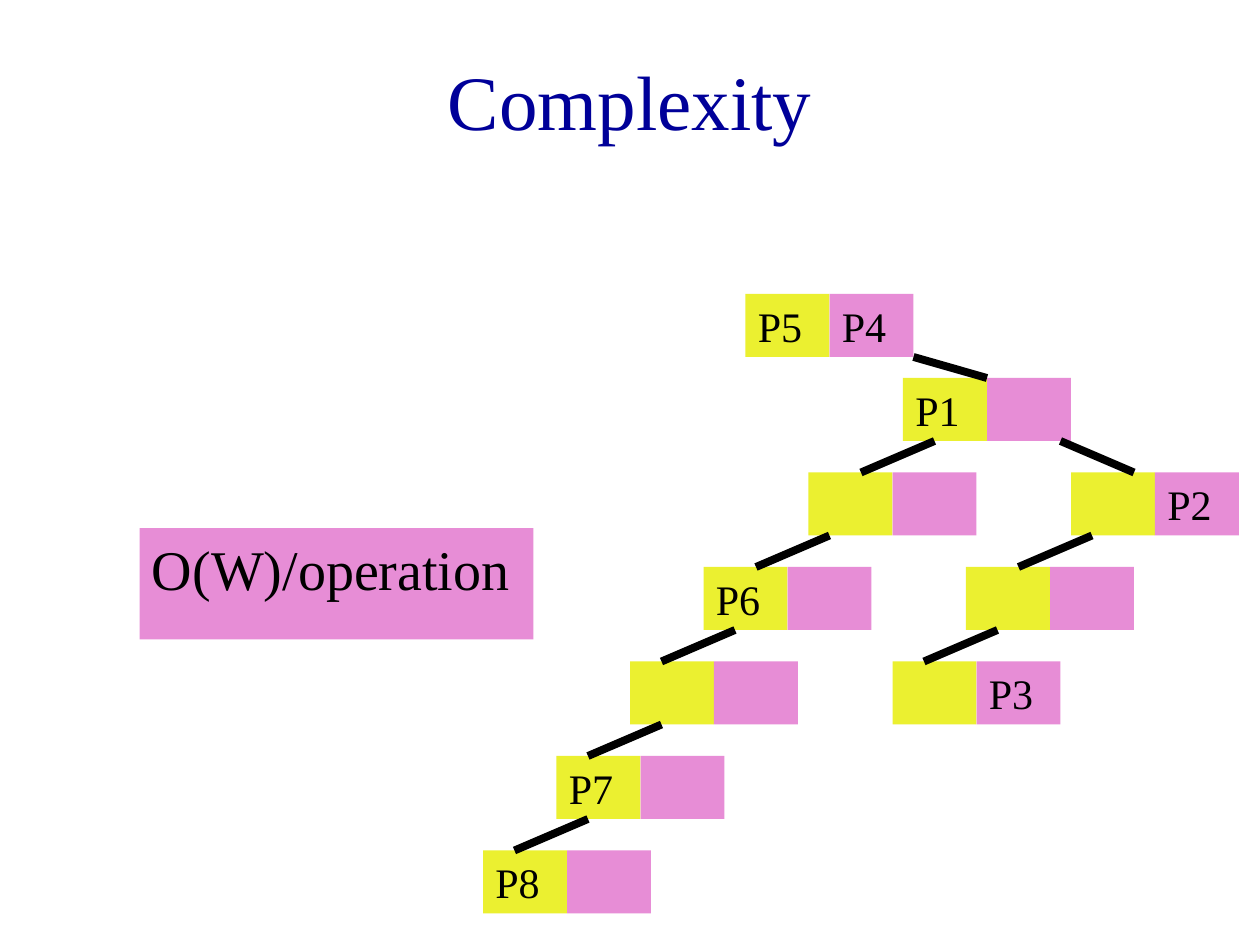
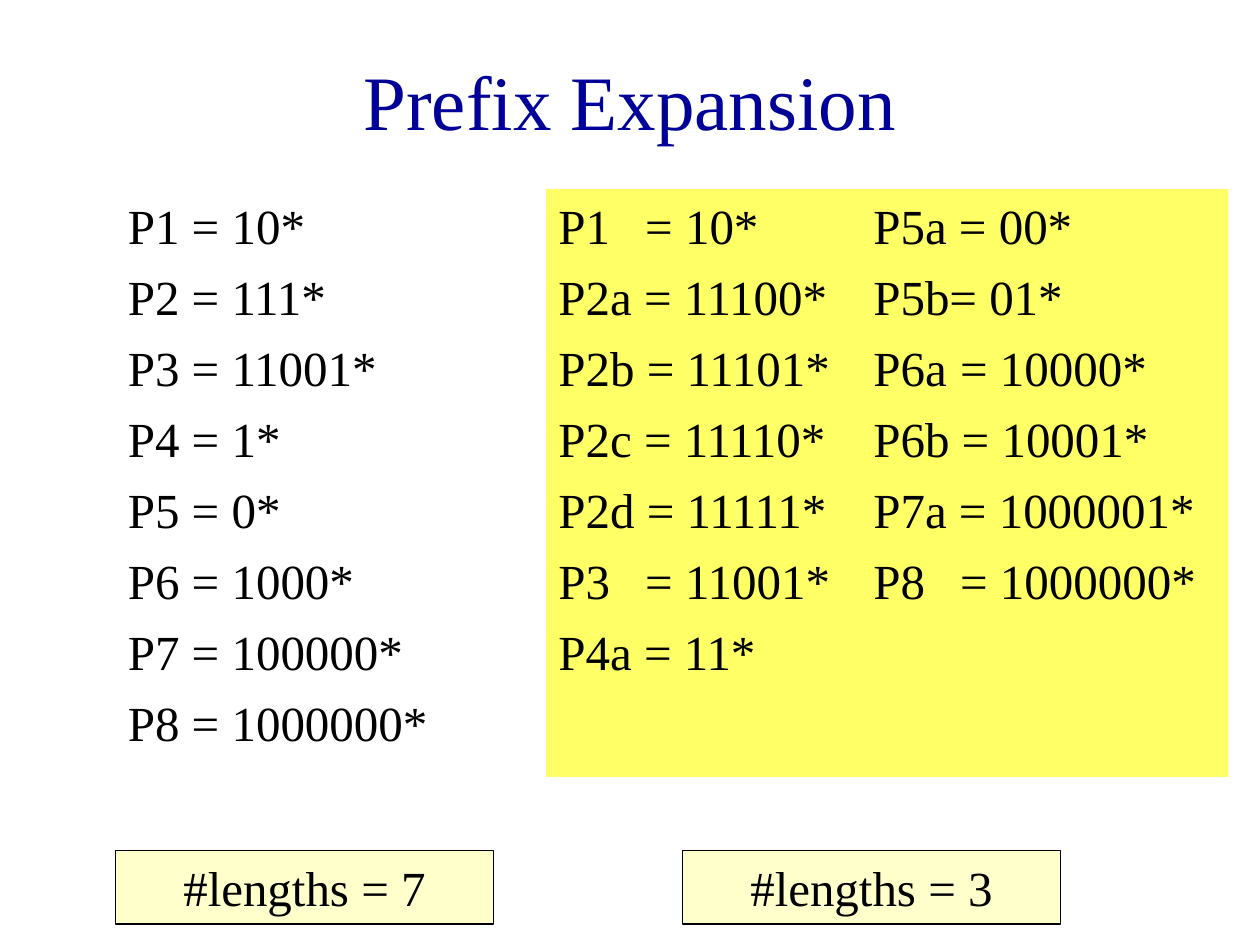
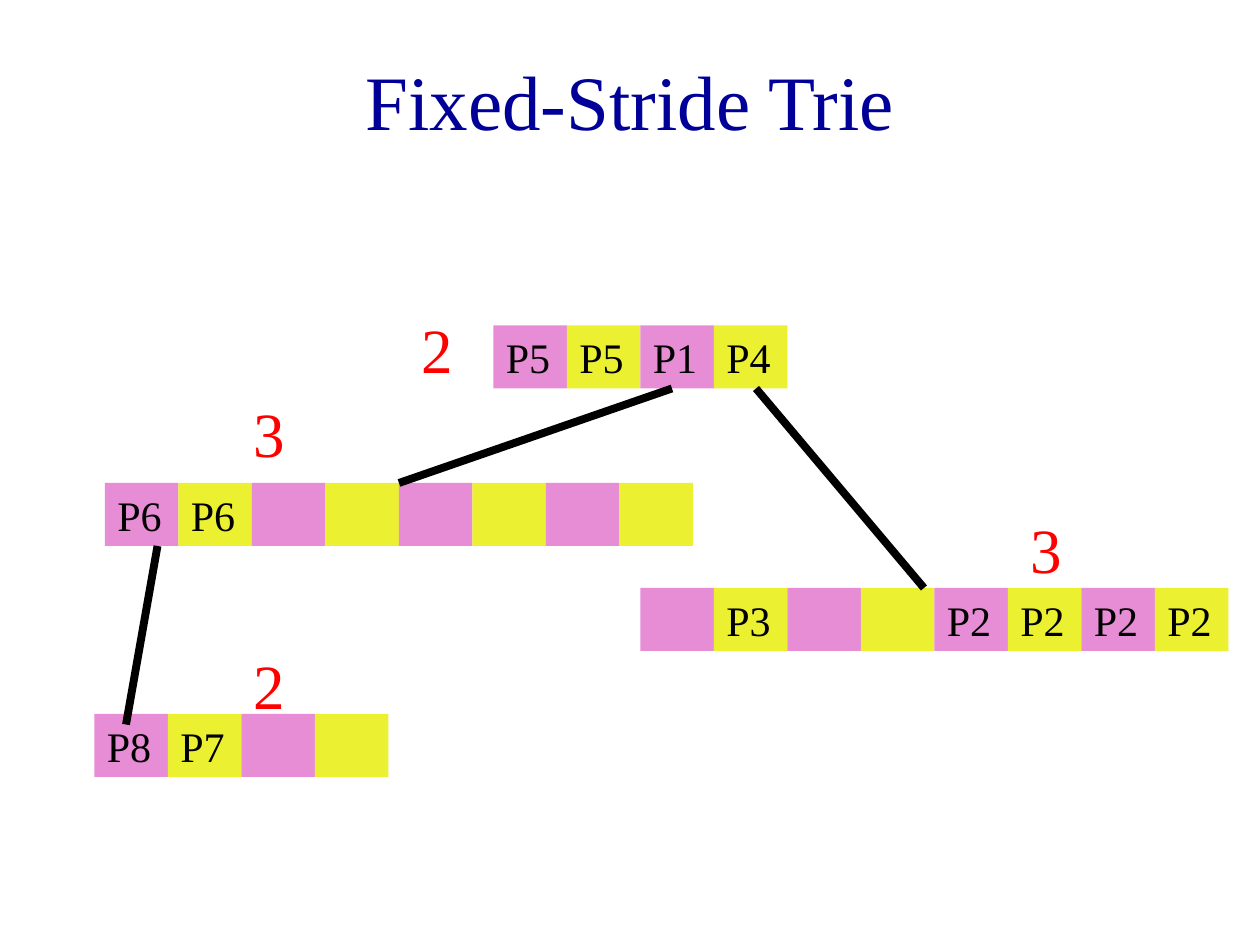
"""Build three slides on prefix tries: complexity, prefix expansion and a fixed-stride trie."""
from dataclasses import dataclass

from lxml.etree import SubElement
from pptx import Presentation
from pptx.dml.color import RGBColor as RGB
from pptx.enum.shapes import MSO_CONNECTOR as LINK, MSO_SHAPE as SHAPE
from pptx.enum.text import MSO_ANCHOR as ANCHOR, PP_ALIGN as ALIGN
from pptx.oxml.ns import qn
from pptx.util import Cm, Pt


@dataclass(frozen=True)
class Theme:
    face: str = "Times New Roman"
    ink: str = "000000"
    navy: str = "000099"
    red: str = "FF0000"
    pink: str = "E78DD6"
    lime: str = "EBF030"
    lemon: str = "FFFF66"
    cream: str = "FFFFCC"
    title: int = 44
    mark: int = 36
    claim: int = 32
    body: int = 28
    cell: int = 24
    edge: float = 4.5
    rim: float = 0.75


T = Theme()
UNIT = 2.54 / 12


def box(slide, area, text, size, fill=None, color=T.ink, gap=0, mid=False, rim=False):
    area = [Cm(n * UNIT) for n in area]
    if fill:
        shape = slide.shapes.add_shape(SHAPE.RECTANGLE, *area)
        shape.shadow.inherit = False
        shape.fill.solid()
        shape.fill.fore_color.rgb = RGB.from_string(fill)
        if rim:
            shape.line.color.rgb = RGB.from_string(T.ink)
            shape.line.width = Pt(T.rim)
        else:
            shape.line.fill.background()
    else:
        shape = slide.shapes.add_textbox(*area)
    if not text:
        return
    frame = shape.text_frame
    frame.word_wrap = True
    frame.vertical_anchor = ANCHOR.MIDDLE if mid else ANCHOR.TOP
    frame.text = text
    for para in frame.paragraphs:
        para.alignment = ALIGN.CENTER if mid else ALIGN.LEFT
        para.space_before = Pt(gap)
        if "\t" in para.text:
            tabs = SubElement(para._p.get_or_add_pPr(), qn("a:tabLst"))
            SubElement(tabs, qn("a:tab"), pos=str(Cm(1.75)), algn="l")
        font = para.font
        font.name, font.size = T.face, Pt(size)
        font.color.rgb = RGB.from_string(color)


def edge(slide, *ends):
    line = slide.shapes.add_connector(LINK.STRAIGHT, *[Cm(n * UNIT) for n in ends])
    line.line.color.rgb = RGB.from_string(T.ink)
    line.line.width = Pt(T.edge)
    SubElement(line._element.spPr, qn("a:effectLst"))


deck = Presentation()
deck.slide_width, deck.slide_height = Cm(25.4), Cm(19.05)
pages = []
for title in ("Complexity", "Prefix Expansion", "Fixed-Stride Trie"):
    page = deck.slides.add_slide(deck.slide_layouts[6])
    box(page, (9, 2, 102, 15), title, T.title, color=T.navy, mid=True)
    pages.append(page)
cost, growth, trie = pages

box(cost, (13.3, 50.3, 37.5, 10.6), "O(W)/operation", T.claim, T.pink, gap=8)
nodes = [
    (71, 28, "P5", "P4"), (86, 36, "P1", ""), (102, 45, "", "P2"),
    (77, 45, "", ""), (92, 54, "", ""), (67, 54, "P6", ""),
    (85, 63, "", "P3"), (60, 63, "", ""), (53, 72, "P7", ""), (46, 81, "P8", ""),
]
for x, y, left, right in nodes:
    box(cost, (x, y, 8, 6), left, T.cell, T.lime, gap=15)
    box(cost, (x + 8, y, 8, 6), right, T.cell, T.pink, gap=15)
edge(cost, 87, 34, 94, 36)
edge(cost, 101, 42, 108, 45)
for x, y in ((89, 42), (79, 51), (70, 60), (63, 69), (56, 78), (104, 51), (95, 60)):
    edge(cost, x, y, x - 7, y + 3)

lists = [
    (11, 38.4, None, ["P1 = 10*", "P2 = 111*", "P3 = 11001*", "P4 = 1*", "P5 = 0*",
                      "P6 = 1000*", "P7 = 100000*", "P8 = 1000000*"]),
    (52, 32, T.lemon, ["P1\t= 10*", "P2a = 11100*", "P2b = 11101*", "P2c = 11110*",
                       "P2d = 11111*", "P3\t= 11001*", "P4a = 11*"]),
    (82, 35, T.lemon, ["P5a = 00*", "P5b= 01*", "P6a\t= 10000*", "P6b = 10001*",
                       "P7a = 1000001*", "P8\t= 1000000*"]),
]
for x, width, fill, rows in lists:
    box(growth, (x, 18, width, 56), "\n".join(rows), T.body, fill, gap=7)
for x, count in ((11, 7), (65, 3)):
    box(growth, (x, 81, 36, 7), f"#lengths = {count}", T.body, T.cream, mid=True, rim=True)

tables = [
    (47, 31, ["P5", "P5", "P1", "P4"]),
    (10, 46, ["P6", "P6"] + [""] * 6),
    (61, 56, ["", "P3", "", ""] + ["P2"] * 4),
    (9, 68, ["P8", "P7", "", ""]),
]
for x, y, names in tables:
    for i, name in enumerate(names):
        fill = T.lime if i % 2 else T.pink
        box(trie, (x + 7 * i, y, 7, 6), name, T.cell, fill, gap=15)
for ends in ((72, 37, 88, 56), (64, 37, 38, 46), (15, 52, 12, 69)):
    edge(trie, *ends)
for x, y, stride in ((39, 29, "2"), (23, 37, "3"), (97, 48, "3"), (23, 61, "2")):
    box(trie, (x, y, 11, 8.4), stride, T.mark, color=T.red, gap=22.5)

deck.save("out.pptx")
